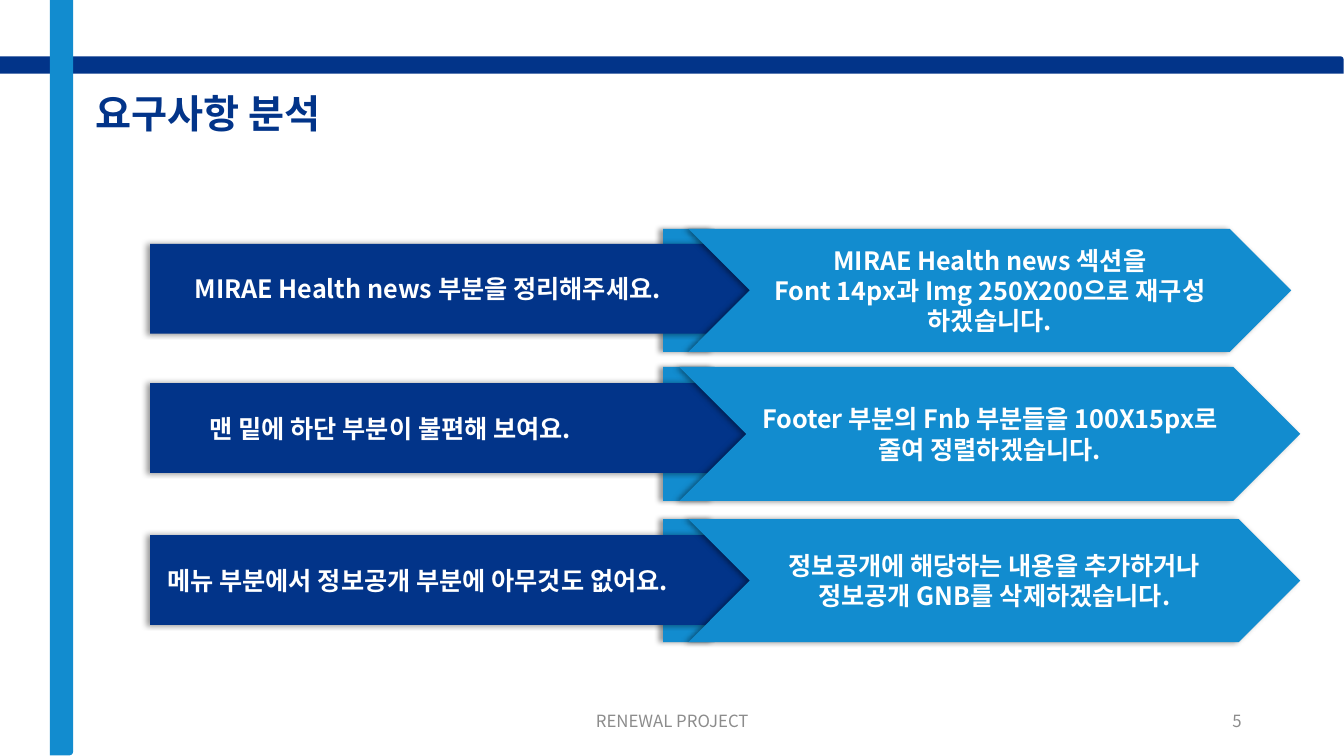
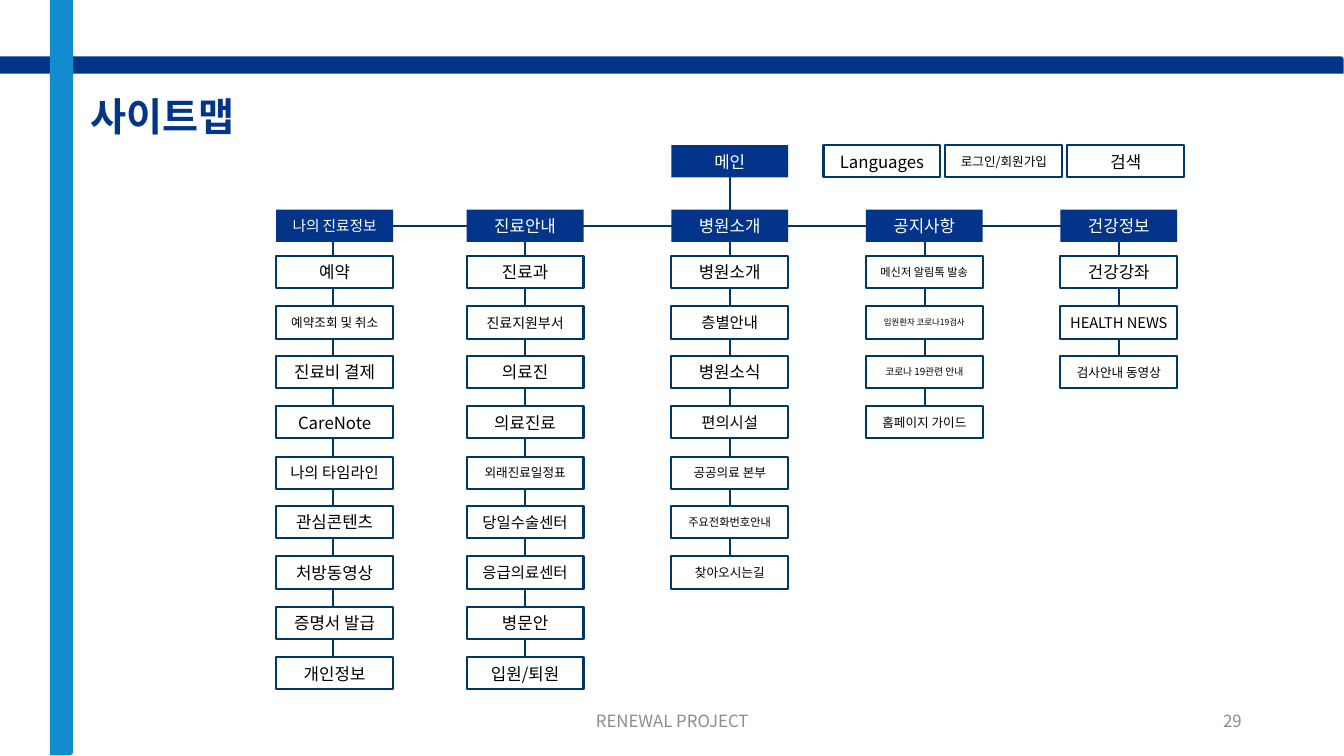
import copy

from lxml import etree
from pptx import Presentation, util as u
from pptx.dml.color import RGBColor
from pptx.enum import shapes, text
from pptx.oxml import ns

NAVY = RGBColor(0x02, 0x34, 0x89)
BLUE = RGBColor(0x12, 0x8C, 0xCF)
OUTLINE = RGBColor(0x00, 0x37, 0x63)
GRAY = RGBColor(0x8C, 0x8C, 0x8C)
BLACK = RGBColor(0, 0, 0)
WHITE = RGBColor(255, 255, 255)

TITLE_FONT = "Noto Sans"
BODY_FONT = "Noto Sans CJK KR"

EMU_PER_PX = 9144
SLIDE_W, SLIDE_H = 1333, 750

CENTER = text.PP_ALIGN.CENTER
LEFT = text.PP_ALIGN.LEFT
RIGHT = text.PP_ALIGN.RIGHT
PRESET = shapes.MSO_SHAPE

BOX_W, BOX_H = 116, 32
HEAD_TOP, ITEM_TOP, ITEM_PITCH = 208, 254, 49.7
MAIN_TOP = 144
TOOL_LEFT, TOOL_PITCH = 817, 121

# top, height of the answer; top of the request; request indent; request; answer
REQUIREMENTS = [
    (227, 122, 242, 44, "MIRAE Health news 부분을 정리해주세요.",
     "MIRAE Health news 섹션을\nFont 14px과 Img 250X200으로 재구성\n하겠습니다."),
    (364, 133, 380, 59, "맨 밑에 하단 부분이 불편해 보여요.",
     "Footer 부분의 Fnb 부분들을 100X15px로 줄여 정렬하겠습니다."),
    (515, 122, 531, 17, "메뉴 부분에서 정보공개 부분에 아무것도 없어요.",
     "정보공개에 해당하는 내용을 추가하거나\n정보공개 GNB를 삭제하겠습니다."),
]
ANSWER_SPANS = [(683, 598), (674, 616), (683, 607)]

TOOLS = [("Languages", 12), ("로그인/회원가입", 9), ("검색", 12)]

# column left and spine, then the heading and its pages with their text sizes
MENUS = [
    (274, 330, [("나의 진료정보", 10.5), ("예약", 12), ("예약조회 및 취소", 9),
                ("진료비 결제", 12), ("CareNote", 12), ("나의 타임라인", 11),
                ("관심콘텐츠", 12), ("처방동영상", 12), ("증명서 발급", 12),
                ("개인정보", 12)]),
    (463, 521, [("진료안내", 12), ("진료과", 12), ("진료지원부서", 10),
                ("의료진", 12), ("의료진료", 12), ("외래진료일정표", 9),
                ("당일수술센터", 11), ("응급의료센터", 11), ("병문안", 12),
                ("입원/퇴원", 12)]),
    (666, 724, [("병원소개", 12), ("병원소개", 12), ("층별안내", 11),
                ("병원소식", 12), ("편의시설", 11), ("공공의료 본부", 9),
                ("주요전화번호안내", 8), ("찾아오시는길", 9)]),
    (859, 918, [("공지사항", 12), ("메신저 알림톡 발송", 8),
                ("입원환자 코로나19검사", 6), ("코로나 19관련 안내", 7),
                ("홈페이지 가이드", 9)]),
    (1052, 1110, [("건강정보", 12), ("건강강좌", 12), ("HEALTH NEWS", 10.5),
                  ("검사안내 동영상", 9)]),
]
HOME_COLUMN = 2


def px(length):
    return u.Emu(round(length * EMU_PER_PX))


def place(shape, left, top, width, height):
    shape.left, shape.top = px(left), px(top)
    shape.width, shape.height = px(width), px(height)


def write(shape, words, size, color, align=CENTER, bold=False, font=BODY_FONT):
    """Fill a shape with text, one paragraph a line, in one format."""
    frame = shape.text_frame
    frame.word_wrap = True
    frame.text = words
    for paragraph in frame.paragraphs:
        paragraph.alignment = align
        for run in paragraph.runs:
            run.font.size = u.Pt(size)
            run.font.bold = bold
            run.font.color.rgb = color
            run.font.name = font
            east_asian = etree.SubElement(run.font._element, ns.qn("a:ea"))
            east_asian.set("typeface", BODY_FONT)


def add_block(slide, preset, box, fill, outline=None):
    block = slide.shapes.add_shape(preset, *map(px, box))
    block.shadow.inherit = False
    block.fill.solid()
    block.fill.fore_color.rgb = fill
    if outline is None:
        block.line.fill.background()
    else:
        block.line.color.rgb = outline
        block.line.width = u.Pt(1.5)
    return block


def cast_shadow(block):
    """Give a block a soft black shadow to its left."""
    effects = block.element.spPr.find(ns.qn("a:effectLst"))
    shadow = etree.SubElement(
        effects, ns.qn("a:outerShdw"), blurRad=str(u.Pt(4)),
        dist=str(u.Pt(3)), dir="10800000", algn="r", rotWithShape="0")
    color = etree.SubElement(shadow, ns.qn("a:srgbClr"), val="000000")
    etree.SubElement(color, ns.qn("a:alpha"), val="40000")


def add_banner(slide, preset, box, fill):
    banner = add_block(slide, preset, box, fill)
    cast_shadow(banner)
    return banner


def add_page_box(slide, left, top, label, filled=False):
    words, size = label
    fill, outline, ink = (NAVY, None, WHITE) if filled else (WHITE, OUTLINE, BLACK)
    page = add_block(slide, PRESET.RECTANGLE, (left, top, BOX_W, BOX_H), fill, outline)
    page.text_frame.margin_left = page.text_frame.margin_right = px(4)
    write(page, words, size, ink)


def add_line(slide, *ends):
    line = slide.shapes.add_connector(shapes.MSO_CONNECTOR.STRAIGHT, *map(px, ends))
    line.line.color.rgb = OUTLINE
    line.line.width = u.Pt(1.5)
    etree.SubElement(line.element.spPr, ns.qn("a:effectLst"))


def add_bands(slide):
    """Put the two crossing bands on the layout, behind its placeholders."""
    across = add_block(slide, PRESET.ROUND_1_RECTANGLE, (0, 56, SLIDE_W, 17), NAVY)
    down = add_block(slide, PRESET.ROUND_1_RECTANGLE, (-314, 363, SLIDE_H, 23), BLUE)
    down.rotation = 90
    for index, band in enumerate((across, down), start=2):
        slide.slide_layout.shapes.element.insert(index, band.element)


def add_footer(slide, number):
    kinds = shapes.PP_PLACEHOLDER
    parts = {
        kinds.FOOTER: ("RENEWAL PROJECT", CENTER, (442, 695, 450, 40)),
        kinds.SLIDE_NUMBER: (str(number), RIGHT, (942, 695, 300, 40)),
    }
    for holder in slide.slide_layout.placeholders:
        kind = holder.placeholder_format.type
        if kind in parts:
            words, align, box = parts[kind]
            slide.shapes.element.append(copy.deepcopy(holder.element))
            footer = slide.shapes[-1]
            place(footer, *box)
            write(footer, words, 12, GRAY, align)


def add_page(deck, title, title_box, number):
    slide = deck.slides.add_slide(deck.slide_layouts[5])
    heading = slide.shapes.title
    place(heading, *title_box)
    heading.text_frame.vertical_anchor = text.MSO_ANCHOR.TOP
    write(heading, title, 28, NAVY, bold=True, font=TITLE_FONT)
    add_footer(slide, number)
    return slide


def fill_requirements(slide):
    for row, (left, width) in zip(REQUIREMENTS, ANSWER_SPANS):
        top, height, request_top, indent, request, answer = row
        add_banner(slide, PRESET.RECTANGLE, (658, top, 51, height), BLUE)
        plate = add_banner(slide, PRESET.PENTAGON, (149, request_top, 1041, 89), NAVY)
        plate.text_frame.margin_left = px(indent)
        write(plate, request, 18, WHITE, LEFT, bold=True)
        chevron = add_banner(slide, PRESET.CHEVRON, (left, top, width, height), BLUE)
        write(chevron, answer, 18, WHITE, bold=True)


def item_top(index):
    return ITEM_TOP + round(index * ITEM_PITCH)


def add_lines(slide):
    """Draw the line through the headings and the spine of each column."""
    middle = HEAD_TOP + BOX_H // 2
    add_line(slide, 340, middle, 1130, middle)
    for column, (_, spine, labels) in enumerate(MENUS):
        start = MAIN_TOP + BOX_H if column == HOME_COLUMN else middle
        add_line(slide, spine, start, spine, item_top(len(labels) - 2) + BOX_H // 2)


def fill_sitemap(slide):
    add_lines(slide)
    for left, _, (head, *items) in MENUS:
        add_page_box(slide, left, HEAD_TOP, head, filled=True)
        for index, item in enumerate(items):
            add_page_box(slide, left, item_top(index), item)
    add_page_box(slide, MENUS[HOME_COLUMN][0], MAIN_TOP, ("메인", 12), filled=True)
    for index, label in enumerate(TOOLS):
        add_page_box(slide, TOOL_LEFT + index * TOOL_PITCH, MAIN_TOP, label)


def main():
    deck = Presentation()
    deck.slide_width, deck.slide_height = u.Inches(40 / 3), px(SLIDE_H)

    requirements = add_page(deck, "요구사항 분석", (44, 84, 324, 57), 5)
    add_bands(requirements)
    fill_requirements(requirements)

    sitemap = add_page(deck, "사이트맵", (59, 87, 204, 57), 29)
    fill_sitemap(sitemap)

    deck.save("out.pptx")


if __name__ == "__main__":
    main()
